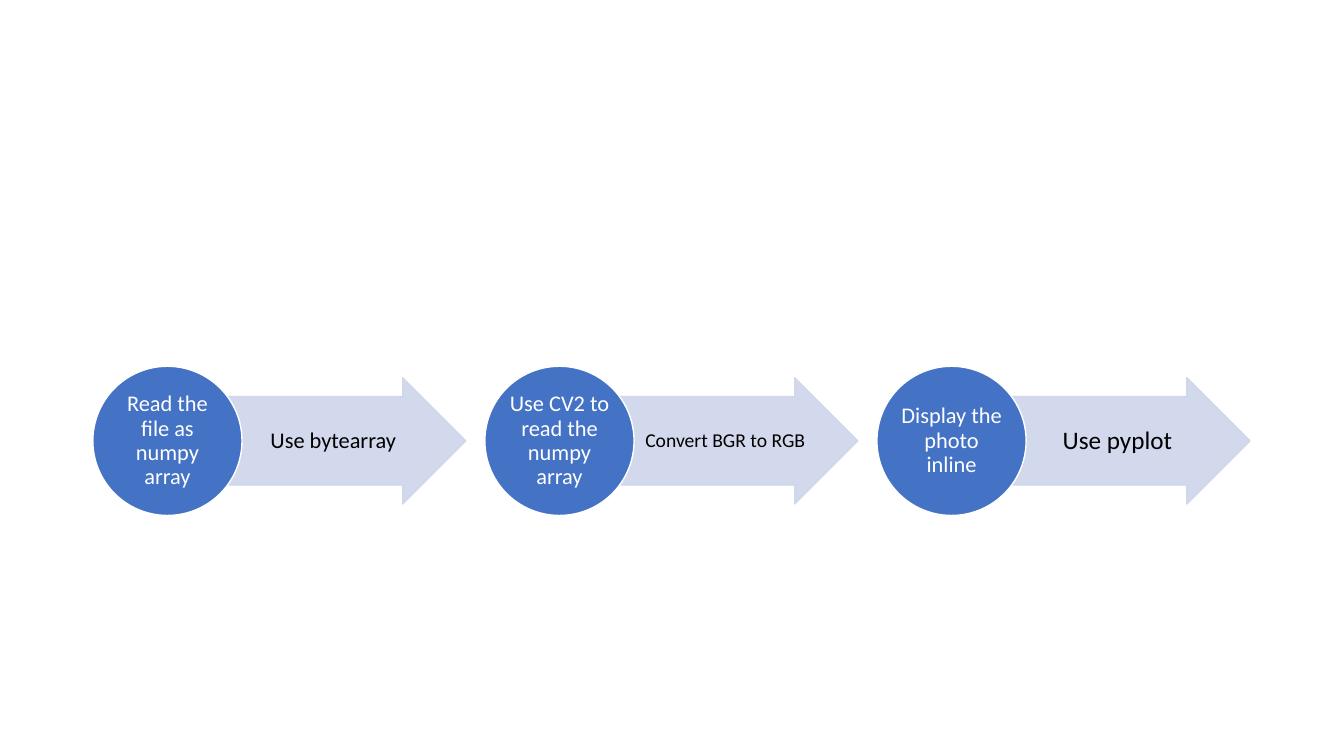
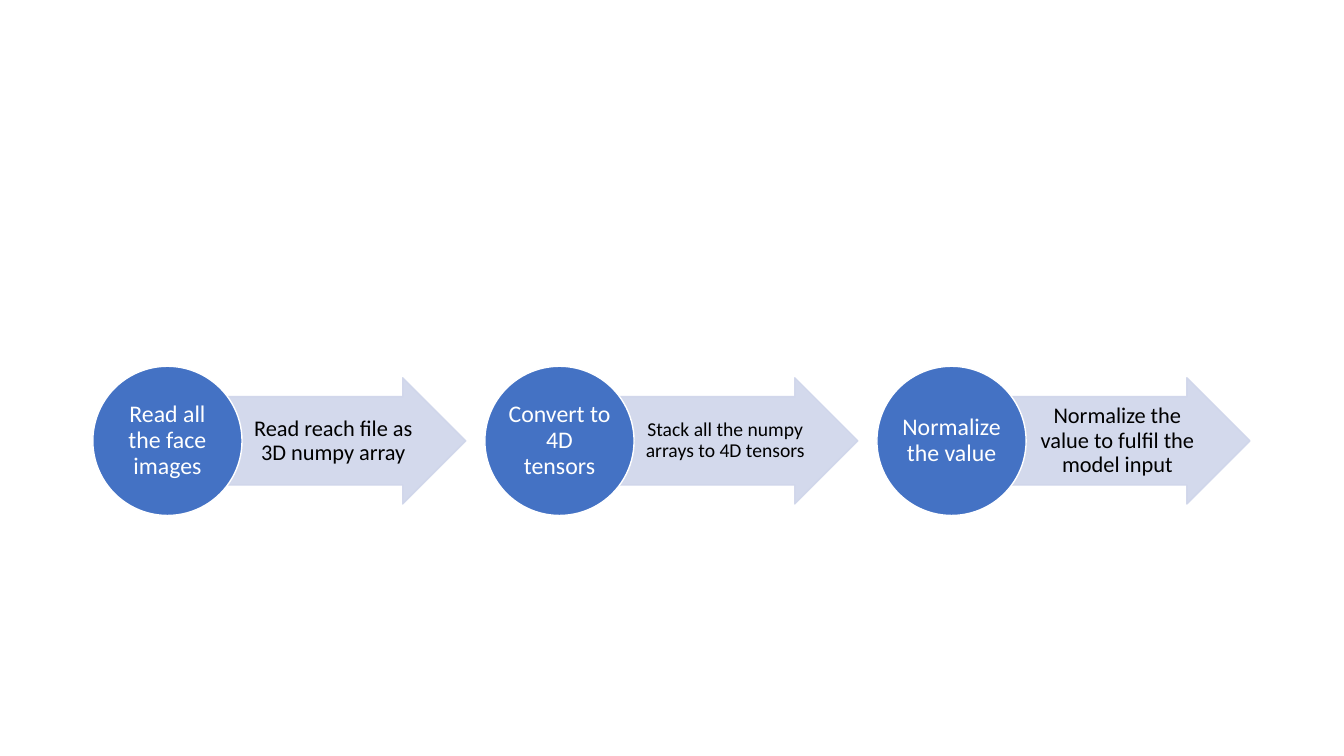
import dataclasses
import math
import typing

import lxml.etree
import pptx
import pptx.dml.color
import pptx.enum.shapes
import pptx.enum.text
import pptx.oxml.ns
import pptx.util

Cm = pptx.util.Cm
Preset = pptx.enum.shapes.MSO_SHAPE


@dataclasses.dataclass(frozen=True)
class Theme:
    font: str = "Calibri"
    disc: str = "4472C4"
    arrow: str = "CFD5EA"
    light: str = "FFFFFF"
    dark: str = "000000"
    arrow_opacity: int = 90
    line_width: float = 1
    line_spacing: float = 0.9
    small: int = 14
    regular: int = 16
    medium: int = 17
    large: int = 18


@dataclasses.dataclass(frozen=True)
class Box:
    left: float
    top: float
    width: float
    height: float

    def lengths(self) -> tuple[int, ...]:
        return tuple(Cm(value) for value in dataclasses.astuple(self))


@dataclasses.dataclass(frozen=True)
class Step:
    title: str
    detail: str
    detail_size: int


@dataclasses.dataclass(frozen=True)
class Process:
    title_size: int
    steps: tuple[Step, ...]


THEME = Theme()
SLIDE_WIDTH, SLIDE_HEIGHT = 33.87, 19.05
FIRST_CENTER, MIDDLE, STEP_PITCH = 4.22, 11.11, 9.88
DISC_DIAMETER = 3.76
ARROW_HEIGHT = 3.18
DETAIL_WIDTH, DETAIL_HEIGHT = 4.55, 2.24
DISC_INSETS = (0.03, 0.03, 0.03, 0.03)
DETAIL_INSETS = (0.1, 0.03, 0.05, 0.03)

PROCESSES = (
    Process(THEME.regular, (
        Step("Read the file as numpy array", "Use bytearray", THEME.regular),
        Step("Use CV2 to read the numpy array", "Convert BGR to RGB", THEME.small),
        Step("Display the photo inline", "Use pyplot", THEME.large),
    )),
    Process(THEME.medium, (
        Step("Read all the face images", "Read reach file as 3D numpy array", THEME.regular),
        Step("Convert to 4D tensors", "Stack all the numpy arrays to 4D tensors", THEME.small),
        Step("Normalize the value", "Normalize the value to fulfil the model input", THEME.regular),
    )),
)


def middle_box(left: float, width: float, height: float) -> Box:
    return Box(left, MIDDLE - height / 2, width, height)


def add_preset(shapes: typing.Any, preset: Preset, box: Box, *, fill: str, line: str) -> typing.Any:
    shape = shapes.add_shape(preset, *box.lengths())
    shape.shadow.inherit = False
    shape.fill.solid()
    shape.fill.fore_color.rgb = pptx.dml.color.RGBColor.from_string(fill)
    shape.line.color.rgb = pptx.dml.color.RGBColor.from_string(line)
    shape.line.width = pptx.util.Pt(THEME.line_width)
    return shape


def set_opacity(shape: typing.Any, percent: int) -> None:
    qualified = pptx.oxml.ns.qn
    for color in shape.element.spPr.iter(qualified("a:srgbClr")):
        lxml.etree.SubElement(color, qualified("a:alpha"), val=str(percent * 1000))


def add_text(shapes: typing.Any, text: str, box: Box, *, size: int, color: str,
             insets: tuple[float, float, float, float]) -> None:
    frame = shapes.add_textbox(*box.lengths()).text_frame
    frame.word_wrap = True
    frame.vertical_anchor = pptx.enum.text.MSO_ANCHOR.MIDDLE
    frame.margin_left, frame.margin_top, frame.margin_right, frame.margin_bottom = map(Cm, insets)
    paragraph = frame.paragraphs[0]
    paragraph.alignment = pptx.enum.text.PP_ALIGN.CENTER
    paragraph.line_spacing = THEME.line_spacing
    run = paragraph.add_run()
    run.text = text
    run.font.name = THEME.font
    run.font.size = pptx.util.Pt(size)
    run.font.color.rgb = pptx.dml.color.RGBColor.from_string(color)


def add_step(shapes: typing.Any, step: Step, center: float, title_size: int) -> None:
    radius = DISC_DIAMETER / 2
    title_side = DISC_DIAMETER / math.sqrt(2)
    arrow = add_preset(shapes, Preset.RIGHT_ARROW,
                       middle_box(center, 2 * DISC_DIAMETER, ARROW_HEIGHT),
                       fill=THEME.arrow, line=THEME.arrow)
    arrow.adjustments[0] = 0.7
    arrow.adjustments[1] = 0.5
    set_opacity(arrow, THEME.arrow_opacity)
    add_text(shapes, step.detail, middle_box(center + radius, DETAIL_WIDTH, DETAIL_HEIGHT),
             size=step.detail_size, color=THEME.dark, insets=DETAIL_INSETS)
    add_preset(shapes, Preset.OVAL, middle_box(center - radius, DISC_DIAMETER, DISC_DIAMETER),
               fill=THEME.disc, line=THEME.light)
    add_text(shapes, step.title, middle_box(center - title_side / 2, title_side, title_side),
             size=title_size, color=THEME.light, insets=DISC_INSETS)


def add_process(presentation: typing.Any, process: Process) -> None:
    slide = presentation.slides.add_slide(presentation.slide_layouts[6])
    group = slide.shapes.add_group_shape()
    for index, step in enumerate(process.steps):
        add_step(group.shapes, step, FIRST_CENTER + index * STEP_PITCH, process.title_size)


def main() -> None:
    presentation = pptx.Presentation()
    presentation.slide_width = Cm(SLIDE_WIDTH)
    presentation.slide_height = Cm(SLIDE_HEIGHT)
    for process in PROCESSES:
        add_process(presentation, process)
    presentation.save("out.pptx")


main()
